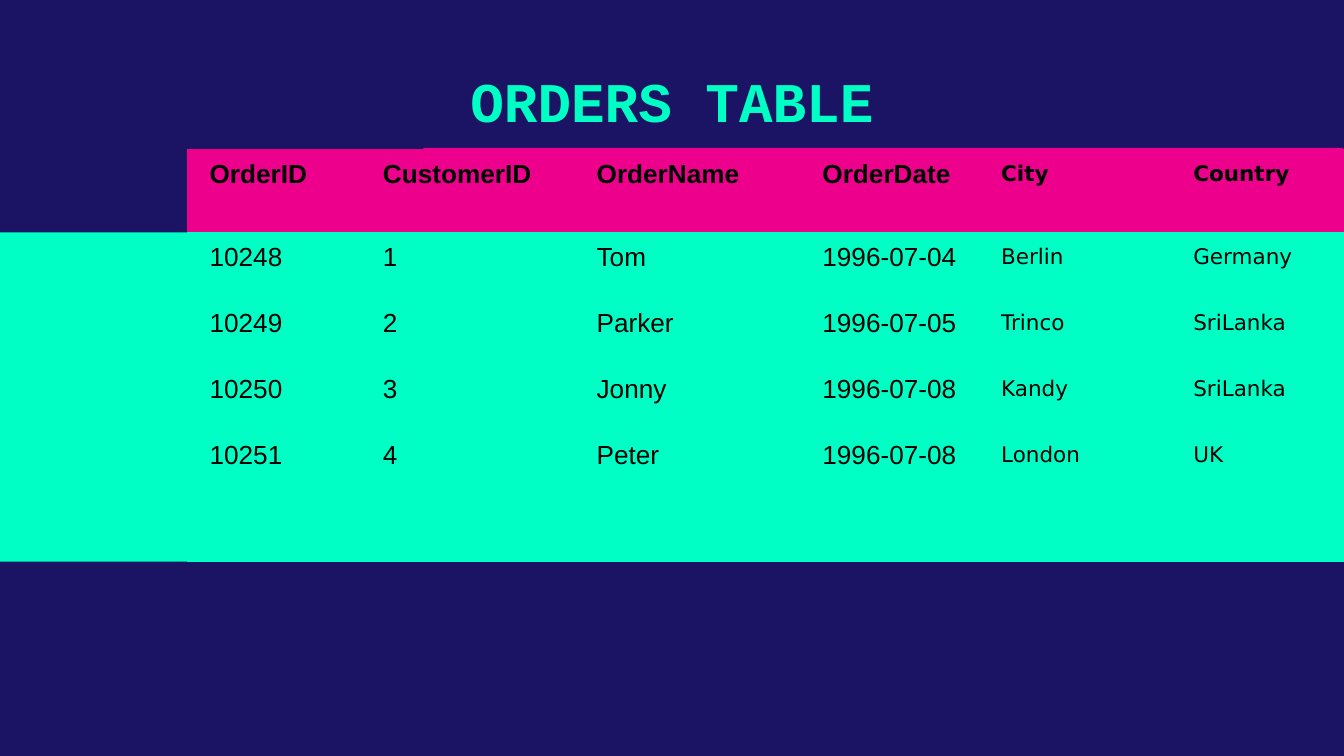
from dataclasses import dataclass

from pptx import Presentation
from pptx.dml.color import RGBColor
from pptx.enum.shapes import MSO_SHAPE
from pptx.enum.text import MSO_ANCHOR, MSO_AUTO_SIZE, PP_ALIGN
from pptx.oxml.ns import qn
from pptx.util import Inches, Pt


@dataclass(frozen=True)
class Theme:
    navy: RGBColor = RGBColor(0x1B, 0x14, 0x64)
    mint: RGBColor = RGBColor(0x00, 0xFF, 0xC5)
    pink: RGBColor = RGBColor(0xEC, 0x00, 0x8C)
    ink: RGBColor = RGBColor(0x00, 0x00, 0x00)
    title_font: str = "Courier New"
    order_font: str = "Arial"
    place_font: str = "DejaVu Sans"
    title_size: float = 30
    order_size: float = 14
    place_size: float = 11.5


THEME = Theme()
NO_STYLE_NO_GRID = "{2D5ABB26-0587-4C30-8999-92F81FD0307C}"

ORDERS = [
    ("OrderID", "CustomerID", "OrderName", "OrderDate", "City", "Country"),
    ("10248", "1", "Tom", "1996-07-04", "Berlin", "Germany"),
    ("10249", "2", "Parker", "1996-07-05", "Trinco", "SriLanka"),
    ("10250", "3", "Jonny", "1996-07-08", "Kandy", "SriLanka"),
    ("10251", "4", "Peter", "1996-07-08", "London", "UK"),
    ("",) * 6,
]
COLUMN_WIDTHS = [0.98, 1.38, 1.59, 1.68, 1.33, 1.43, 1.2]
HEADER_HEIGHT, ROW_HEIGHT = 0.62, 0.49
FIRST_PLACE_COLUMN = 5


def add_band(slide, left, top, width, height, color):
    band = slide.shapes.add_shape(
        MSO_SHAPE.RECTANGLE, Inches(left), Inches(top), Inches(width), Inches(height))
    band.shadow.inherit = False
    band.fill.solid()
    band.fill.fore_color.rgb = color
    band.line.fill.background()


def style_font(font, name, size, color, bold):
    font.name = name
    font.size = Pt(size)
    font.color.rgb = color
    font.bold = bold


def set_title(slide, text):
    title = slide.shapes.title
    title.left, title.top = Inches(1.4), Inches(0.38)
    title.width, title.height = Inches(7.2), Inches(0.73)
    frame = title.text_frame
    frame.margin_left = frame.margin_right = Inches(0.1)
    frame.margin_top = frame.margin_bottom = Inches(0.1)
    frame.auto_size = MSO_AUTO_SIZE.NONE
    frame.vertical_anchor = MSO_ANCHOR.MIDDLE
    frame.text = text
    heading = frame.paragraphs[0]
    heading.alignment = PP_ALIGN.CENTER
    style_font(heading.font, THEME.title_font, THEME.title_size, THEME.mint, True)
    # Draw the title above the bands
    slide.shapes._spTree.append(title._element)


def fill_cell(cell, text, column, is_header):
    cell.fill.solid()
    cell.fill.fore_color.rgb = THEME.pink if is_header else THEME.mint
    cell.margin_left = Inches(0.17 if column == 1 else 0.08)
    cell.margin_right = cell.margin_top = cell.margin_bottom = Inches(0.08)
    if not text:
        return
    cell.text = text
    entry = cell.text_frame.paragraphs[0]
    if column >= FIRST_PLACE_COLUMN:
        entry.line_spacing = 1.07
        style_font(entry.font, THEME.place_font, THEME.place_size, THEME.ink, is_header)
    else:
        style_font(entry.font, THEME.order_font, THEME.order_size, THEME.ink, is_header)


def add_orders_table(slide):
    heights = [HEADER_HEIGHT] + [ROW_HEIGHT] * (len(ORDERS) - 1)
    frame = slide.shapes.add_table(
        len(ORDERS), len(COLUMN_WIDTHS), Inches(0.41), Inches(1.11),
        Inches(sum(COLUMN_WIDTHS)), Inches(sum(heights)))
    orders = frame.table
    orders.first_row = orders.horz_banding = False
    orders._tbl.tblPr.find(qn("a:tableStyleId")).text = NO_STYLE_NO_GRID

    for column, width in zip(orders.columns, COLUMN_WIDTHS):
        column.width = Inches(width)
    for row, height in zip(orders.rows, heights):
        row.height = Inches(height)

    # The first column stays clear, so the bands show through
    for row, record in enumerate(ORDERS):
        orders.cell(row, 0).fill.background()
        for column, text in enumerate(record, start=1):
            fill_cell(orders.cell(row, column), text, column, row == 0)


def main():
    deck = Presentation()
    # Widescreen, 16:9
    deck.slide_width = Inches(10)
    deck.slide_height = deck.slide_width * 9 // 16
    slide = deck.slides.add_slide(deck.slide_layouts[5])
    slide.background.fill.solid()
    slide.background.fill.fore_color.rgb = THEME.navy

    # Colour bands behind the table
    add_band(slide, 0, 1.73, 8.26, 2.45, THEME.mint)
    add_band(slide, 3.15, 1.1, 6.84, 0.62, THEME.pink)

    # Title and orders
    set_title(slide, "ORDERS TABLE")
    add_orders_table(slide)

    deck.save("out.pptx")


if __name__ == "__main__":
    main()
